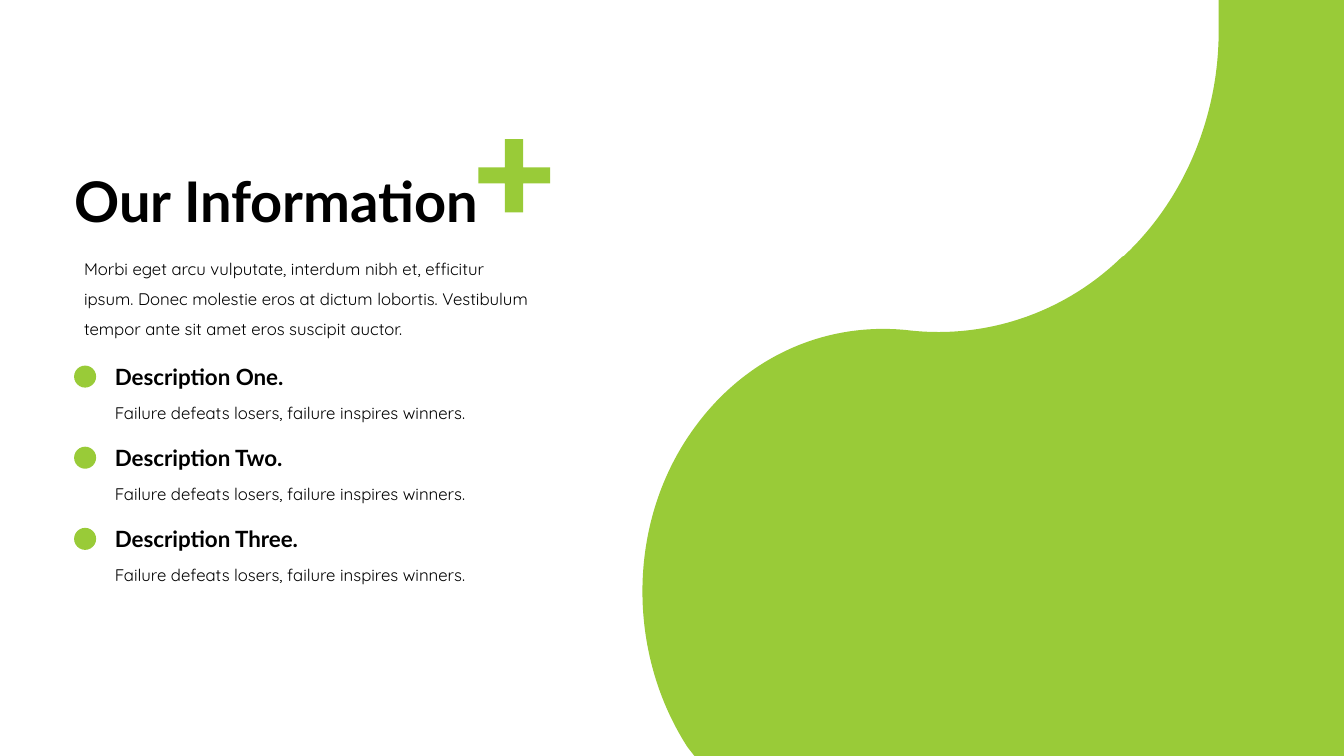
from lxml import etree
from pptx import Presentation
from pptx import util as u
from pptx.dml.color import RGBColor
from pptx.enum import shapes, text
from pptx.oxml import ns

COLS, ROWS = 80, 45
HUES = {"green": "99CB38", "ink": "000000", "paper": "FFFFFF"}
HEAD, BODY = "Lato", "Quicksand"


def write(frame, words, size, font, bold=False, align=text.PP_ALIGN.LEFT,
          space=1.0, anchor=text.MSO_ANCHOR.TOP,
          fit=text.MSO_AUTO_SIZE.SHAPE_TO_FIT_TEXT):
    frame.word_wrap = True
    frame.auto_size = fit
    frame.vertical_anchor = anchor
    para = frame.paragraphs[0]
    para.alignment, para.line_spacing = align, space
    run = para.add_run()
    run.text = words
    run.font.name, run.font.size, run.font.bold = font, u.Pt(size), bold
    run.font.color.rgb = RGBColor.from_string(HUES["ink"])


class Page:
    """Places elements by the columns and rows of the slide grid."""

    def __init__(self, deck):
        self.cell = deck.slide_width / COLS, deck.slide_height / ROWS
        self.slide = deck.slides.add_slide(deck.slide_layouts[5])
        self.home = self.slide.shapes
        fill = self.slide.background.fill
        fill.solid()
        fill.fore_color.rgb = RGBColor.from_string(HUES["paper"])

    def emu(self, *vals):
        return [round(v * self.cell[i % 2]) for i, v in enumerate(vals)]

    def paint(self, shape):
        shape.shadow.inherit = False
        shape.fill.solid()
        shape.fill.fore_color.rgb = RGBColor.from_string(HUES["green"])
        shape.line.fill.background()

    def title(self, words, box, **style):
        mark = self.slide.shapes.title
        mark.left, mark.top, mark.width, mark.height = self.emu(*box)
        write(mark.text_frame, words, **style)
        mark.element.getparent().append(mark.element)  # bring to front

    def note(self, words, box, **style):
        write(self.home.add_textbox(*self.emu(*box)).text_frame, words, **style)

    def dot(self, box):
        self.paint(self.home.add_shape(shapes.MSO_SHAPE.OVAL, *self.emu(*box)))

    def shape(self, pts):
        first, *rest = [self.emu(*p) for p in pts]
        pen = self.home.build_freeform(*first, scale=1.0)
        pen.add_line_segments(rest, close=True)
        shape = pen.convert_to_shape()
        self.paint(shape)
        return shape

    def bend(self, shape, steps):
        """Redraw the outline: one point is a line, three points a curve."""
        route = shape.element.find(".//" + ns.qn("a:path"))
        for old in list(route):
            route.remove(old)
        for i, pts in enumerate(steps):
            kind = "moveTo" if i == 0 else "lnTo" if len(pts) == 1 else "cubicBezTo"
            step = etree.SubElement(route, ns.qn("a:" + kind))
            for p in pts:
                x, y = self.emu(*p)
                etree.SubElement(step, ns.qn("a:pt"), x=str(x - shape.left),
                                 y=str(y - shape.top))
        etree.SubElement(route, ns.qn("a:close"))

    def item(self, name, words, row):
        self.home = self.slide.shapes.add_group_shape().shapes
        self.note(name, (6.24, row, 17.1, 2.22), size=16, font=HEAD, bold=True,
                  anchor=text.MSO_ANCHOR.MIDDLE)
        self.note(words, (6.24, row + 1.77, 24.3, 2.4), size=12, font=BODY,
                  align=text.PP_ALIGN.JUSTIFY, space=1.5)
        self.dot((4.41, row + 0.46, 1.31, 1.31))
        self.home = self.slide.shapes


def main():
    deck = Presentation()
    deck.slide_width, deck.slide_height = u.Inches(13.333), u.Inches(7.5)
    page = Page(deck)

    # Green wave along the right side
    wave = page.shape([(38.22, 0), (COLS, 0), (COLS, ROWS), (38.22, ROWS)])
    page.bend(wave, [
        [(72.54, 0)], [(COLS, 0)], [(COLS, ROWS)], [(41.34, ROWS)], [(40.92, 44.46)],
        [(37.32, 38.88), (37.32, 31.26), (41.1, 25.8)],
        [(44.28, 21.18), (49.26, 19.08), (54.24, 19.68)],
        [(58.8, 20.16), (63.36, 18.6), (66.72, 15.36)],
        [(66.78, 15.3), (66.84, 15.24), (66.9, 15.24)],
        [(70.56, 11.82), (72.66, 6.72), (72.54, 1.44)]])

    # Three descriptions
    for i, name in enumerate(("One", "Two", "Three")):
        page.item(f"Description {name}.",
                  "Failure defeats losers, failure inspires winners.",
                  21.3 + 4.83 * i)

    # Introduction
    page.note("Morbi eget arcu vulputate, interdum nibh et, efficitur ipsum. "
              "Donec molestie eros at dictum lobortis. Vestibulum tempor ante "
              "sit amet eros suscipit auctor.",
              (4.41, 14.49, 27.66, 6.06), size=12, font=BODY, space=1.5)

    # Plus sign: outer and inner edges of its arms
    x0, x1, x2, x3 = 28.48, 30.06, 31.14, 32.74
    y0, y1, y2, y3 = 8.28, 9.97, 10.92, 12.64
    page.shape([(x1, y0), (x2, y0), (x2, y1), (x3, y1), (x3, y2), (x2, y2),
                (x2, y3), (x1, y3), (x1, y2), (x0, y2), (x0, y1), (x1, y1)])

    # Title
    page.title("Our Information", (3.84, 7.8, 30.48, 8.7), size=40, font=HEAD,
               bold=True, space=0.9, anchor=text.MSO_ANCHOR.MIDDLE,
               fit=text.MSO_AUTO_SIZE.NONE)
    deck.save("out.pptx")


if __name__ == "__main__":
    main()
